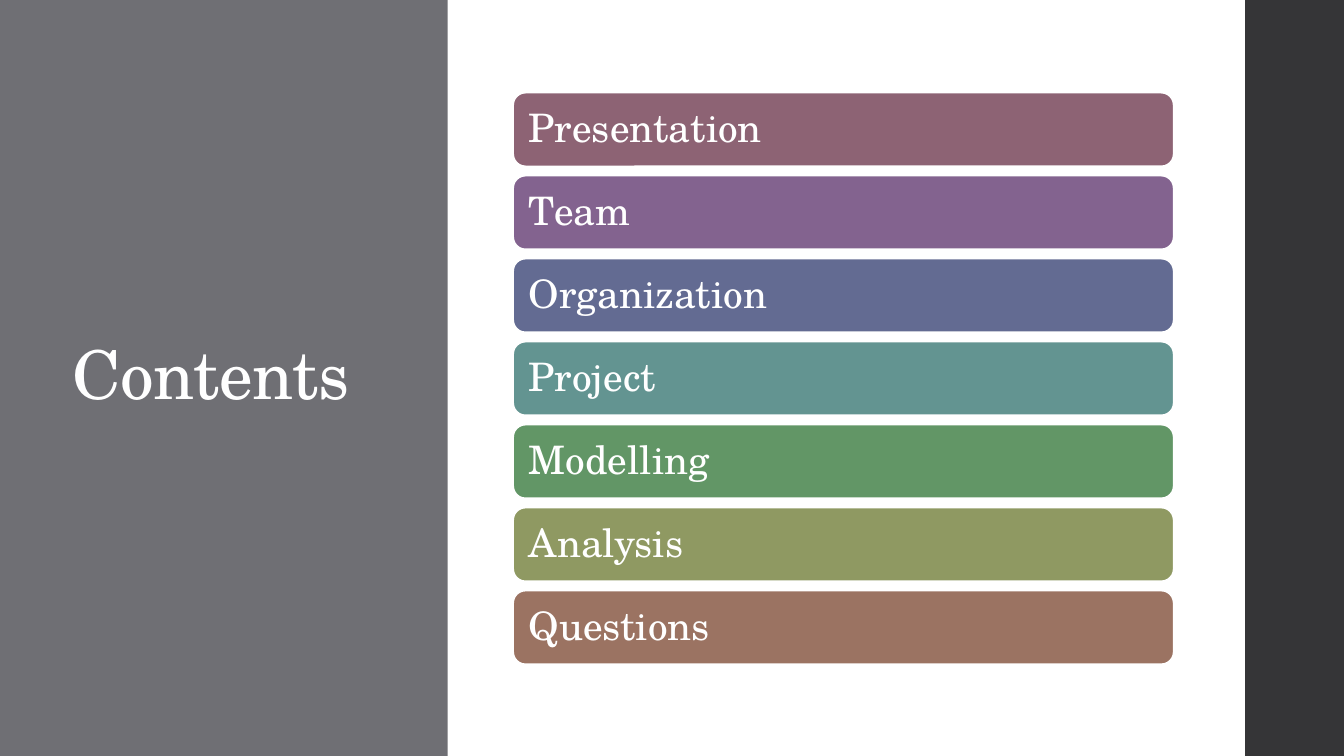
from pptx import Presentation, util as u
from pptx.dml import color
from pptx.enum import shapes, text

FONT = "TeX Gyre Schola"
WHITE = "FFFFFF"
SECTIONS = [
    ("Presentation", "8D6374"),
    ("Team", "83638F"),
    ("Organization", "636B92"),
    ("Project", "639491"),
    ("Modelling", "629666"),
    ("Analysis", "8F9962"),
    ("Questions", "9B7362"),
]
BAR_LEFT, BAR_WIDTH, BAR_HEIGHT = 5.09, 6.55, 0.73
FIRST_TOP, LAST_TOP = 0.92, 5.86
PITCH = (LAST_TOP - FIRST_TOP) / (len(SECTIONS) - 1)

prs = Presentation()
prs.slide_width, prs.slide_height = u.Inches(13.33), u.Inches(7.5)
s = prs.slides.add_slide(prs.slide_layouts[5])


def add_block(kind, left, top, width, height, fill):
    sp = s.shapes.add_shape(kind, *map(u.Inches, (left, top, width, height)))
    sp.shadow.inherit = False
    sp.fill.solid()
    sp.fill.fore_color.rgb = color.RGBColor.from_string(fill)
    sp.line.fill.background()
    return sp


def write(sp, words, size):
    """Set one white, left-aligned, vertically centred line of text."""
    tf = sp.text_frame
    tf.text = words
    tf.word_wrap = True
    tf.auto_size = text.MSO_AUTO_SIZE.NONE
    tf.vertical_anchor = text.MSO_ANCHOR.MIDDLE
    p = tf.paragraphs[0]
    p.alignment = text.PP_ALIGN.LEFT
    p.line_spacing = 0.9
    r = p.runs[0]
    r.font.name, r.font.size = FONT, u.Pt(size)
    r.font.color.rgb = color.RGBColor.from_string(WHITE)
    return r


# Side panels, with the title in front of the left one
RECT = shapes.MSO_SHAPE.RECTANGLE
panel = add_block(RECT, 0, 0, 4.44, 7.5, "6F6F74")
add_block(RECT, 12.35, 0, 0.98, 7.5, "353537")

title = s.shapes.title
title.element.addprevious(panel.element)
title.left, title.top = u.Inches(0.62), u.Inches(0.91)
title.width, title.height = u.Inches(2.97), u.Inches(5.67)
r = write(title, "Contents", 48)
r.font._element.set("spc", "-50")

# One bar per section
for i, (name, fill) in enumerate(SECTIONS):
    bar = add_block(shapes.MSO_SHAPE.ROUNDED_RECTANGLE, BAR_LEFT,
                    FIRST_TOP + i * PITCH, BAR_WIDTH, BAR_HEIGHT, fill)
    bar.line.color.rgb = color.RGBColor.from_string(WHITE)
    bar.line.width = u.Pt(1.1)
    write(bar, name, 28)
    tf = bar.text_frame
    tf.margin_left = tf.margin_right = u.Inches(0.12)
    tf.margin_top = tf.margin_bottom = u.Inches(0.12)

prs.save("out.pptx")
